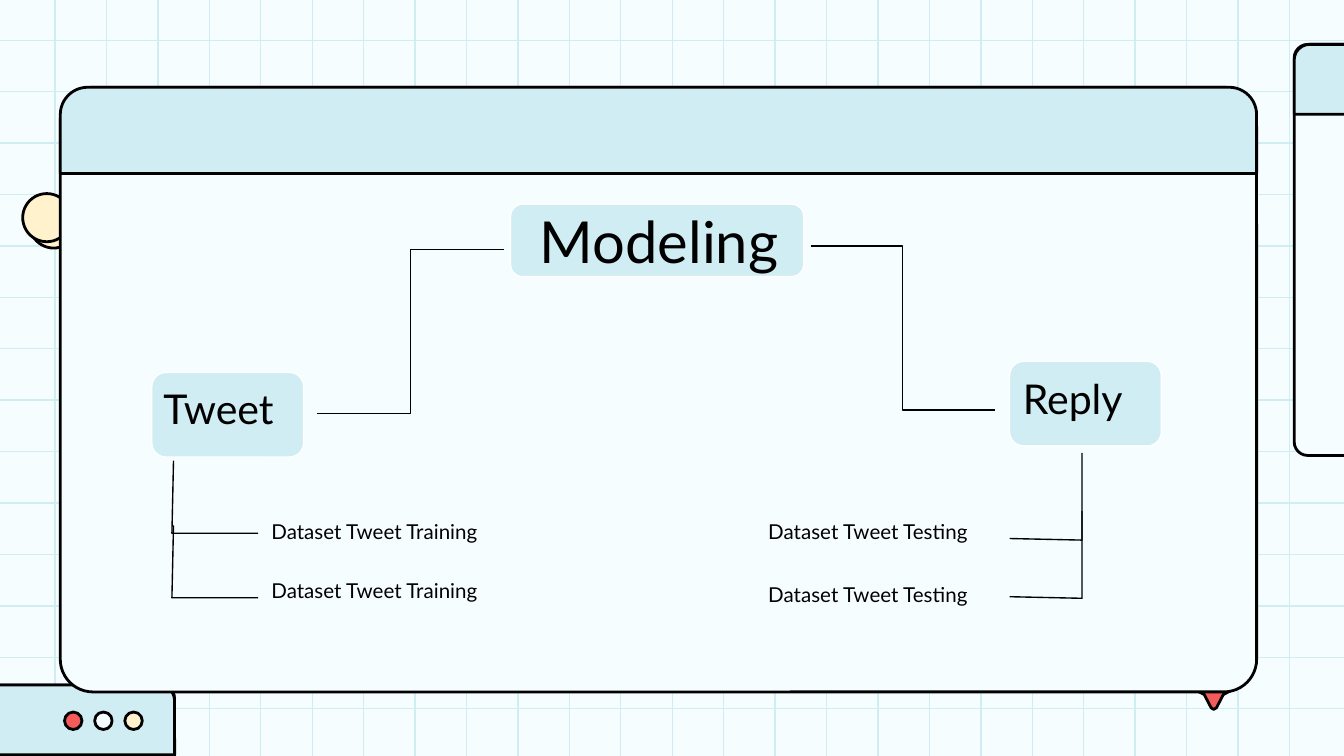
from lxml import etree
from pptx import Presentation
from pptx import util as u
from pptx.dml.color import RGBColor
from pptx.enum import shapes, text
from pptx.oxml.ns import qn

ICE, SKY, CREAM, CORAL = "F6FDFF", "D0EDF3", "FFF2CC", "F55B5B"
BLACK, WHITE = "000000", "FFFFFF"
WIDTH, HEIGHT = 25.4, 14.29
RECT, TAB = shapes.MSO_SHAPE.ROUNDED_RECTANGLE, shapes.MSO_SHAPE.ROUND_2_SAME_RECTANGLE
OVAL = shapes.MSO_SHAPE.OVAL
STRAIGHT, ELBOW = shapes.MSO_CONNECTOR.STRAIGHT, shapes.MSO_CONNECTOR.ELBOW

prs = Presentation()
prs.slide_width, prs.slide_height = u.Cm(WIDTH), u.Cm(HEIGHT)
s = prs.slides.add_slide(prs.slide_layouts[6])
s.background.fill.solid()
s.background.fill.fore_color.rgb = RGBColor.from_string(ICE)


def paint(sp, fill, line, weight):
    """Set fill and outline and remove the shadow; fill None leaves it open."""
    if isinstance(fill, str):
        sp.fill.solid()
        sp.fill.fore_color.rgb = RGBColor.from_string(fill)
    elif hasattr(sp, "fill"):
        sp.fill.background()
    sp.line.color.rgb = RGBColor.from_string(line)
    sp.line.width = u.Pt(weight)
    if hasattr(sp, "shadow"):
        sp.shadow.inherit = False
    else:
        etree.SubElement(sp._element.spPr, qn("a:effectLst"))


def add_shape(kind, x, y, w, h, fill, line=BLACK, weight=1.5, adj=()):
    sp = s.shapes.add_shape(kind, u.Cm(x), u.Cm(y), u.Cm(w), u.Cm(h))
    for i, value in enumerate(adj):
        sp.adjustments[i] = value
    paint(sp, fill, line, weight)


# Background grid
step = 23.33 / 24
grid = [(1.04 + i * step, 0, 1.04 + i * step, HEIGHT) for i in range(25)]
grid += [(0, 0.76 + i * step, WIDTH, 0.76 + i * step) for i in range(14)]
for ends in grid:
    line = s.shapes.add_connector(STRAIGHT, *[u.Cm(v) for v in ends])
    paint(line, None, SKY, 0.75)

# Decorative windows, each a body under a title bar
for x, y in [(-13.92, 12.95), (24.46, 0.84)]:
    add_shape(RECT, x, y, 17.22, 7.77, ICE, adj=[0.033])
    add_shape(TAB, x, y, 17.22, 1.32, SKY, adj=[0.222, 0])
for i, color in enumerate([CORAL, ICE, CREAM]):
    add_shape(OVAL, 1.22 + i * 0.57, 13.46, 0.33, 0.33, color)

# Four-pointed star: one quarter of the outline, turned four times
quarter = [(-0.05, -0.43), (0, -0.46), (0.05, -0.43), (0.18, -0.18)]
star = []
for turn in range(4):
    star += quarter
    quarter = [(-y, x) for x, y in quarter]
star = [(u.Cm(22.94 + x), u.Cm(12.95 + y)) for x, y in star]
builder = s.shapes.build_freeform(*star[0])
builder.add_line_segments(star[1:], close=True)
paint(builder.convert_to_shape(), CORAL, BLACK, 1.5)

for x, y in [(0.56, 3.78), (0.43, 3.66)]:
    add_shape(OVAL, x, y, 0.91, 0.91, CREAM)

# Main window
add_shape(RECT, 1.14, 1.65, 22.61, 11.43, ICE, adj=[0.054])
add_shape(TAB, 1.14, 1.65, 22.61, 1.63, SKY, adj=[0.318, 0])

# Branches from the root to both nodes
for ends in [(9.53, 4.72, 5.99, 7.82), (15.32, 4.65, 18.8, 7.75)]:
    branch = s.shapes.add_connector(ELBOW, *[u.Cm(v) for v in ends])
    paint(branch, None, BLACK, 0.75)

# Brackets from each node to its two datasets
left = [(3.28, 8.71), (3.25, 10.08), (4.88, 10.08)]
right = [(20.45, 8.56), (20.45, 10.21), (19.08, 10.18)]
for bracket, gap in [(left, 1.22), (right, 1.1)]:
    for drop in (0, gap):
        points = [(u.Cm(x), u.Cm(y + drop)) for x, y in bracket]
        builder = s.shapes.build_freeform(*points[0])
        builder.add_line_segments(points[1:], close=False)
        paint(builder.convert_to_shape(), None, BLACK, 0.75)

# Node boxes
for x, y, w, h in [(2.87, 7.04, 2.87, 1.6), (19.08, 6.83, 2.87, 1.6), (9.65, 3.86, 5.54, 1.37)]:
    add_shape(RECT, x, y, w, h, SKY, WHITE, 0.75, [0.167])

# Labels
TOP, BOTTOM = text.MSO_ANCHOR.TOP, text.MSO_ANCHOR.BOTTOM
LEFT, CENTER = text.PP_ALIGN.LEFT, text.PP_ALIGN.CENTER
labels = [
    ("Modeling", 1.75, 3.63, 21.41, 1.6, 31, CENTER, TOP),
    ("Tweet", 2.29, 7.24, 3.68, 1.19, 22, CENTER, BOTTOM),
    ("Reply", 19.08, 7.06, 3.68, 1.19, 22, LEFT, BOTTOM),
    ("Dataset Tweet Training", 4.88, 9.32, 6.68, 1.19, 11, LEFT, BOTTOM),
    ("Dataset Tweet Training", 4.88, 10.44, 5.92, 1.19, 11, LEFT, BOTTOM),
    ("Dataset Tweet Testing", 14.27, 9.32, 5.92, 1.19, 11, LEFT, BOTTOM),
    ("Dataset Tweet Testing", 14.27, 10.52, 5.92, 1.19, 11, LEFT, BOTTOM),
]
for label, x, y, w, h, size, align, anchor in labels:
    tf = s.shapes.add_textbox(u.Cm(x), u.Cm(y), u.Cm(w), u.Cm(h)).text_frame
    tf.word_wrap = True
    tf.vertical_anchor = anchor
    tf.margin_left = tf.margin_right = tf.margin_top = tf.margin_bottom = u.Cm(0.25)
    tf.text = label
    p = tf.paragraphs[0]
    p.alignment = align
    r = p.runs[0]
    r.font.name, r.font.size = "Lato", u.Pt(size)
    r.font.color.rgb = RGBColor.from_string(BLACK)

prs.save("out.pptx")
